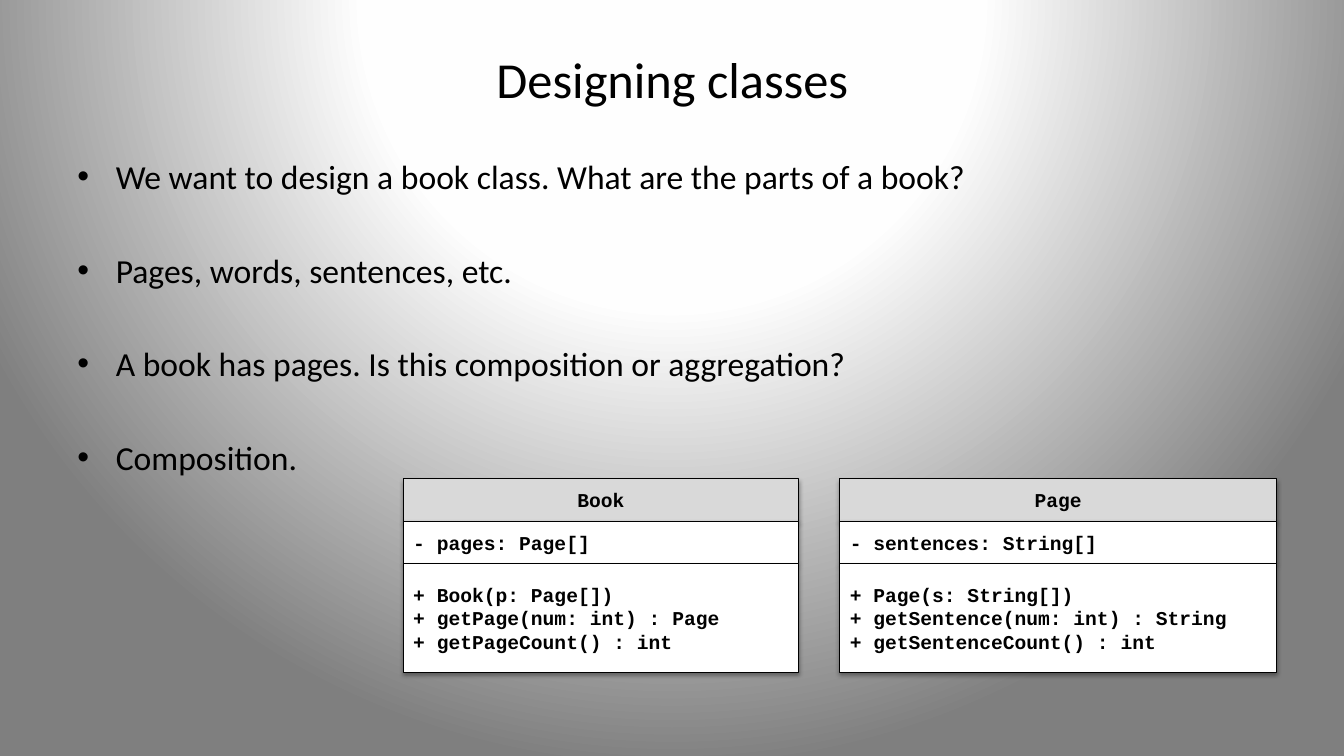
from pptx import Presentation
from pptx.dml.color import RGBColor
from pptx.enum.shapes import MSO_SHAPE
from pptx.enum.text import MSO_ANCHOR, PP_ALIGN
from pptx.oxml import parse_xml
from pptx.oxml.ns import nsdecls, qn
from pptx.util import Inches, Pt

BLACK = RGBColor(0x00, 0x00, 0x00)
WHITE = RGBColor(0xFF, 0xFF, 0xFF)
HEADER_GRAY = RGBColor(0xD9, 0xD9, 0xD9)
NEAR_WHITE = RGBColor(0xFE, 0xFE, 0xFE)
EDGE_GRAY = RGBColor(0x7F, 0x7F, 0x7F)

BULLETS = [
    "We want to design a book class. What are the parts of a book?",
    "Pages, words, sentences, etc.",
    "A book has pages. Is this composition or aggregation?",
    "Composition.",
]
BOOK = [
    ["Book"],
    ["- pages: Page[]"],
    ["+ Book(p: Page[])", "+ getPage(num: int) : Page", "+ getPageCount() : int"],
]
PAGE = [
    ["Page"],
    ["- sentences: String[]"],
    ["+ Page(s: String[])", "+ getSentence(num: int) : String",
     "+ getSentenceCount() : int"],
]
ROW_HEIGHTS = [0.42, 0.42, 1.08]


def set_font(paragraph, name, size, bold=False):
    font = paragraph.font
    font.name, font.size, font.bold = name, Pt(size), bold
    font.color.rgb = BLACK


def add_background(slide):
    # Radial gradient centred above the slide
    stops = "".join(
        f'<a:gs pos="{percent * 1000}"><a:srgbClr val="{color}"/></a:gs>'
        for percent, color in [(0, WHITE), (40, NEAR_WHITE), (100, EDGE_GRAY)])
    slide.element.cSld.insert(0, parse_xml(
        f'<p:bg {nsdecls("p", "a")}><p:bgPr><a:gradFill rotWithShape="1">'
        f'<a:gsLst>{stops}</a:gsLst><a:path path="circle">'
        '<a:fillToRect l="50000" t="-80000" r="50000" b="180000"/></a:path>'
        '</a:gradFill><a:effectLst/></p:bgPr></p:bg>'))


def add_text_frame(slide, left, top, width, height):
    box = slide.shapes.add_textbox(
        Inches(left), Inches(top), Inches(width), Inches(height))
    box.text_frame.word_wrap = True
    return box.text_frame


def add_title(slide, text, left, top, width, height):
    frame = add_text_frame(slide, left, top, width, height)
    frame.vertical_anchor = MSO_ANCHOR.MIDDLE
    paragraph = frame.paragraphs[0]
    paragraph.text = text
    paragraph.alignment = PP_ALIGN.CENTER
    set_font(paragraph, "Calibri", 36)


def add_bullets(slide, items, left, top, width, height):
    frame = add_text_frame(slide, left, top, width, height)
    frame.text = "\n".join(items)
    for index, paragraph in enumerate(frame.paragraphs):
        properties = paragraph._p.get_or_add_pPr()
        properties.set("marL", str(Inches(0.38)))
        properties.set("indent", str(Inches(-0.38)))
        properties.append(parse_xml(
            f'<a:buFont {nsdecls("a")} typeface="Arial"/>'))
        properties.append(parse_xml(f'<a:buChar {nsdecls("a")} char="•"/>'))
        set_font(paragraph, "Calibri", 24)
        if index:
            paragraph.space_before = Pt(38)


def add_shadow(shape):
    shape.shadow.inherit = False
    shape._element.spPr.find(qn("a:effectLst")).append(parse_xml(
        f'<a:outerShdw {nsdecls("a")} blurRad="{Pt(3.1)}" dist="{Pt(1.8)}" '
        'dir="5400000" rotWithShape="0"><a:srgbClr val="000000">'
        '<a:alpha val="35000"/></a:srgbClr></a:outerShdw>'))


def add_class_diagram(slide, sections, left, top, width):
    # Name, attributes and methods stacked in one group
    group = slide.shapes.add_group_shape()
    for index, (lines, height) in enumerate(zip(sections, ROW_HEIGHTS)):
        is_header = index == 0
        section = group.shapes.add_shape(
            MSO_SHAPE.RECTANGLE, Inches(left), Inches(top),
            Inches(width), Inches(height))
        section.fill.solid()
        section.fill.fore_color.rgb = HEADER_GRAY if is_header else WHITE
        section.line.color.rgb = BLACK
        section.line.width = Pt(0.75)
        add_shadow(section)
        frame = section.text_frame
        frame.word_wrap = True
        frame.vertical_anchor = MSO_ANCHOR.MIDDLE
        frame.text = "\n".join(lines)
        for paragraph in frame.paragraphs:
            paragraph.alignment = PP_ALIGN.CENTER if is_header else PP_ALIGN.LEFT
            set_font(paragraph, "Courier New", 14, bold=True)
        top += height


def main():
    presentation = Presentation()
    presentation.slide_width = Inches(13.33)
    presentation.slide_height = Inches(7.5)
    slide = presentation.slides.add_slide(presentation.slide_layouts[6])
    add_background(slide)
    add_title(slide, "Designing classes", 0.67, 0.3, 12, 0.95)
    add_bullets(slide, BULLETS, 0.67, 1.5, 12, 5.58)
    add_class_diagram(slide, BOOK, 4, 4.75, 3.92)
    add_class_diagram(slide, PAGE, 8.33, 4.75, 4.33)
    presentation.save("out.pptx")


if __name__ == "__main__":
    main()
